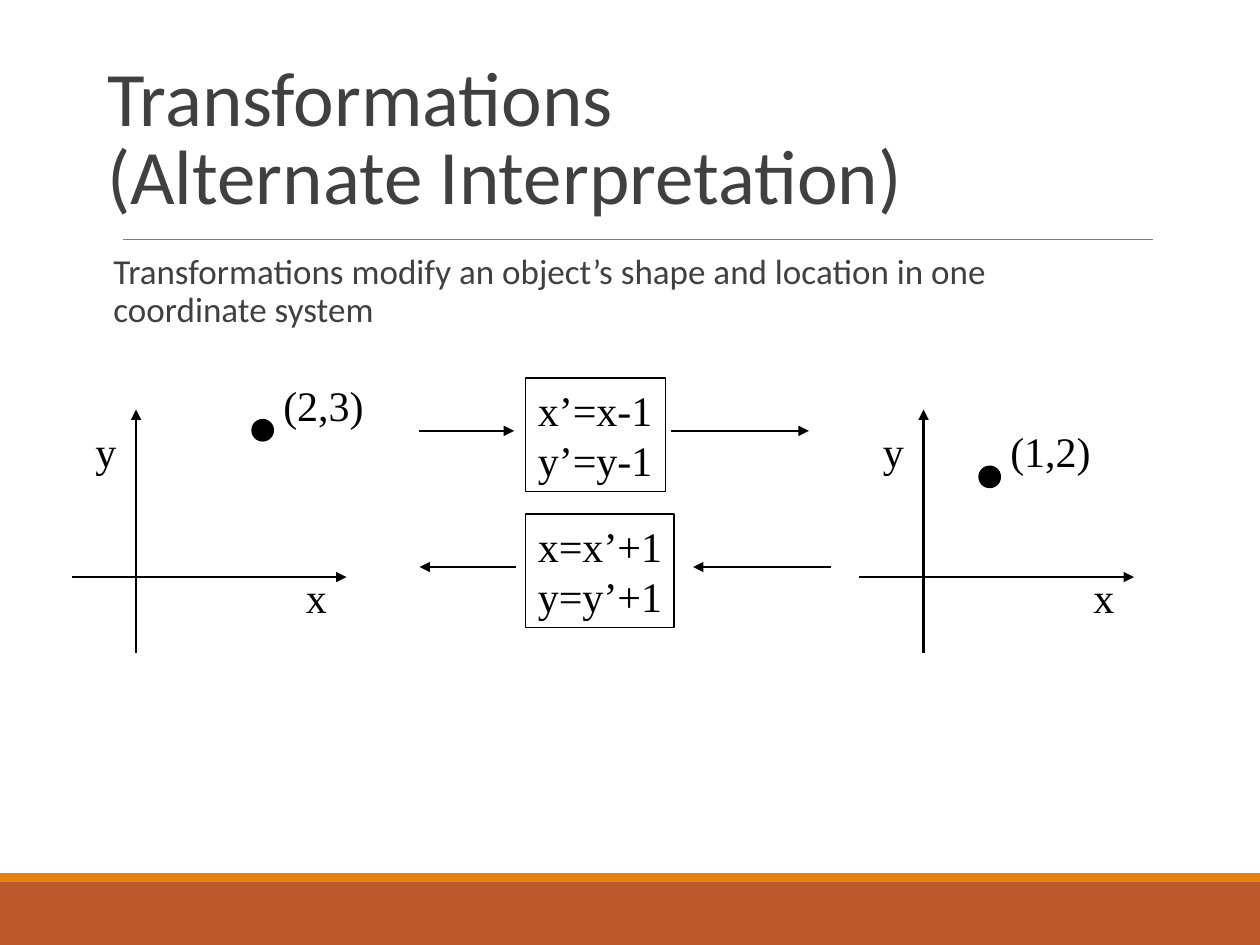
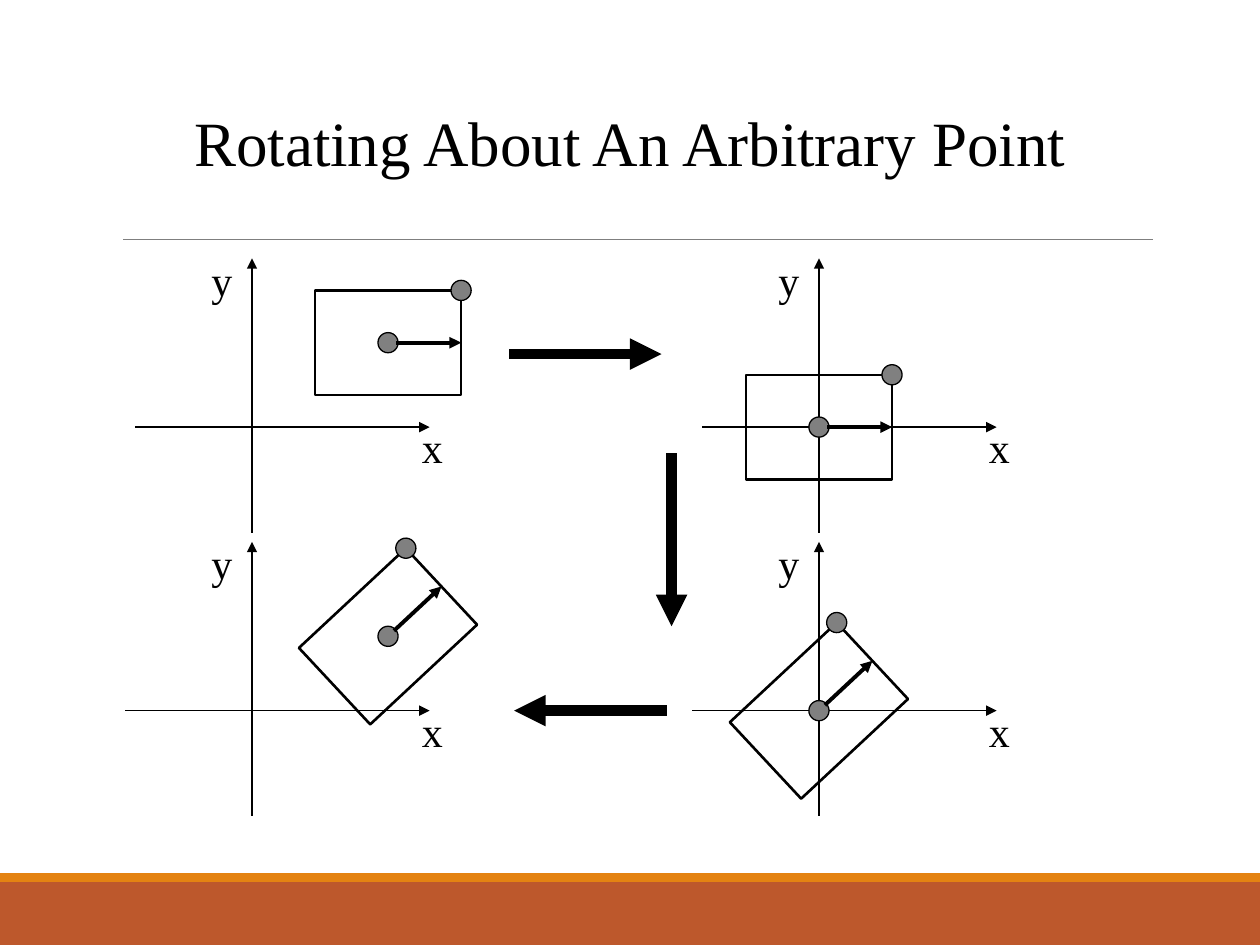
"""Build two slides on transformations and on rotating about a point."""
import dataclasses
import math

import lxml.etree
import pptx
import pptx.dml.color
import pptx.enum.shapes
import pptx.enum.text
import pptx.oxml.ns
import pptx.presentation
import pptx.shapes.autoshape
import pptx.shapes.base
import pptx.shapes.connector
import pptx.slide
import pptx.text.text
import pptx.util

Inches = pptx.util.Inches
Pt = pptx.util.Pt
Kind = pptx.enum.shapes.MSO_SHAPE
Align = pptx.enum.text.PP_ALIGN
Anchor = pptx.enum.text.MSO_ANCHOR
Fit = pptx.enum.text.MSO_AUTO_SIZE
Slide = pptx.slide.Slide

BLACK = "000000"
DARK = "404040"
GRAY = "808080"
RULE = "7F7F7F"
RUST = "BD582C"
AMBER = "E48312"
SANS = "Calibri"
SERIF = "Times New Roman"
BOX_W, BOX_H = 1.16, 0.83
DOT = 0.16
TURN = 43


@dataclasses.dataclass(frozen=True)
class Axes:
    """A pair of axes: its origin, its reach each way and the top of its y label."""
    x: float
    y: float
    left: float
    right: float
    up: float
    down: float
    label: float
    width: float


@dataclasses.dataclass(frozen=True)
class Arrow:
    """A straight arrow between two points."""
    x1: float
    y1: float
    x2: float
    y2: float
    width: float


@dataclasses.dataclass(frozen=True)
class Point:
    """A labelled point, with the left and top of its dot."""
    x: float
    y: float
    text: str


@dataclasses.dataclass(frozen=True)
class Rule:
    """A framed pair of equations."""
    top: float
    width: float
    text: str


@dataclasses.dataclass(frozen=True)
class Stage:
    """One step of the rotation: axes origin and left reach, box centre and turn."""
    x: float
    y: float
    left: float
    mid_x: float
    mid_y: float
    turn: int


def hue(code: str) -> pptx.dml.color.RGBColor:
    """Turn a hex string into a colour."""
    return pptx.dml.color.RGBColor.from_string(code)


def style(frame: pptx.text.text.TextFrame, face: str, size: int, color: str,
          align: Align = Align.LEFT, space: float = 1.0) -> None:
    """Format every run and paragraph of a text frame."""
    for para in frame.paragraphs:
        para.alignment = align
        para.line_spacing = space
        para.space_before = Pt(0)
        for run in para.runs:
            run.font.name = face
            run.font.size = Pt(size)
            run.font.color.rgb = hue(color)


def place(shape: pptx.shapes.base.BaseShape, x: float, y: float, w: float, h: float) -> None:
    """Move and size a shape."""
    shape.left, shape.top, shape.width, shape.height = map(Inches, (x, y, w, h))


def draw(slide: Slide, kind: Kind, x: float, y: float, w: float, h: float,
         fill: str = "", line: float = 0, turn: int = 0) -> pptx.shapes.autoshape.Shape:
    """Draw a shape with an optional fill, black outline and turn."""
    shape = slide.shapes.add_shape(kind, *map(Inches, (x, y, w, h)))
    shape.shadow.inherit = False
    shape.rotation = -turn
    if fill:
        shape.fill.solid()
        shape.fill.fore_color.rgb = hue(fill)
    else:
        shape.fill.background()
    if line:
        shape.line.color.rgb = hue(BLACK)
        shape.line.width = Pt(line)
    else:
        shape.line.fill.background()
    return shape


def link(slide: Slide, way: Arrow, color: str = BLACK,
         head: bool = True) -> pptx.shapes.connector.Connector:
    """Draw a straight square-capped line, with an arrowhead at its end if asked."""
    ends = map(Inches, (way.x1, way.y1, way.x2, way.y2))
    line = slide.shapes.add_connector(pptx.enum.shapes.MSO_CONNECTOR.STRAIGHT, *ends)
    line.line.color.rgb = hue(color)
    line.line.width = Pt(way.width)
    qn = pptx.oxml.ns.qn
    props = line.element.spPr
    stroke = props.find(qn("a:ln"))
    stroke.set("cap", "sq")
    if head:
        lxml.etree.SubElement(stroke, qn("a:tailEnd"), type="triangle")
    lxml.etree.SubElement(props, qn("a:effectLst"))
    return line


def write(frame: pptx.text.text.TextFrame, text: str, wrap: bool, fit: Fit) -> None:
    """Set serif text from the top of a frame."""
    frame.text = text
    frame.word_wrap = wrap
    frame.auto_size = fit
    frame.vertical_anchor = Anchor.TOP
    style(frame, SERIF, 24, BLACK)


def tag(slide: Slide, x: float, y: float, text: str, width: float = 0.36) -> None:
    """Add a small serif label."""
    box = slide.shapes.add_textbox(*map(Inches, (x, y, width, 0.5)))
    write(box.text_frame, text, False, Fit.SHAPE_TO_FIT_TEXT)


def start(deck: pptx.presentation.Presentation, layout: int, text: str) -> Slide:
    """Add a slide with its bands, rule and placed title."""
    slide = deck.slides.add_slide(deck.slide_layouts[layout])
    draw(slide, Kind.RECTANGLE, 0, 7, 10, 0.5, RUST)
    draw(slide, Kind.RECTANGLE, 0, 6.93, 10, 0.07, AMBER)
    link(slide, Arrow(0.98, 1.9, 9.15, 1.9, 0.5), RULE, False)
    title = slide.shapes.title
    place(title, 0.75, 0.5, 8.5, 1.25)
    title.text_frame.text = text
    title.text_frame.auto_size = Fit.NONE
    title.text_frame.vertical_anchor = Anchor.MIDDLE
    return slide


def plot(slide: Slide, axes: Axes) -> None:
    """Draw a pair of axes with their labels."""
    x, y = axes.x, axes.y
    link(slide, Arrow(x, y + axes.down, x, y - axes.up, axes.width))
    link(slide, Arrow(x - axes.left, y, x + axes.right, y, axes.width))
    tag(slide, x + 1.25, y - 0.09, "x")
    tag(slide, x - 0.42, y - axes.label, "y")


def show(slide: Slide, stage: Stage) -> None:
    """Draw one stage: axes, turned box, two dots and the direction arrow."""
    plot(slide, Axes(stage.x, stage.y, stage.left, 1.41, 1.34, 0.83, 1.42, 1))
    x, y = stage.mid_x, stage.mid_y
    cos, sin = math.cos(math.radians(stage.turn)), math.sin(math.radians(stage.turn))
    half_w, half_h = BOX_W / 2, BOX_H / 2
    box = draw(slide, Kind.RECTANGLE, x - half_w, y - half_h, BOX_W, BOX_H,
               line=1.5, turn=stage.turn)
    corner = (x + half_w * cos - half_h * sin, y - half_w * sin - half_h * cos)
    for dot_x, dot_y in ((x, y), corner):
        draw(slide, Kind.OVAL, dot_x - DOT / 2, dot_y - DOT / 2, DOT, DOT,
             GRAY, 0.75, stage.turn)
    end_x, end_y = x + half_w * cos, y - half_w * sin
    ray = link(slide, Arrow(x + DOT / 2 * cos, y - DOT / 2 * sin, end_x, end_y, 2.25))
    ray.end_connect(box, 3)
    ray.end_x, ray.end_y = Inches(end_x), Inches(end_y)


def modify(deck: pptx.presentation.Presentation) -> None:
    """Build the slide on mapping a point within one system."""
    slide = start(deck, 1, "Transformations\v(Alternate Interpretation)")
    style(slide.shapes.title.text_frame, SANS, 44, DARK, space=0.85)
    body = slide.placeholders[1]
    place(body, 0.7, 1.97, 8.45, 4.33)
    frame = body.text_frame
    frame.text = ("Transformations modify an object’s shape and location in one "
                  "coordinate system")
    frame.auto_size = Fit.NONE
    props = frame.paragraphs[0]._p.get_or_add_pPr()
    props.set("marL", str(Inches(0.1)))
    props.set("indent", str(-Inches(0.1)))
    lxml.etree.SubElement(props, pptx.oxml.ns.qn("a:buChar"), char=" ")
    style(frame, SANS, 20, DARK, space=0.9)

    for x in (1.08, 7.33):
        plot(slide, Axes(x, 4.58, 0.5, 1.67, 1.33, 0.59, 1.25, 1.5))
    for point in (Point(2, 3.33, "(2,3)"), Point(7.77, 3.7, "(1,2)")):
        draw(slide, Kind.OVAL, point.x, point.y, 0.17, 0.17, BLACK, 0.75)
        tag(slide, point.x + 0.15, point.y - 0.37, point.text, 0.84)
    for rule in (Rule(3, 1.11, "x’=x-1\ny’=y-1"), Rule(4.08, 1.18, "x=x’+1\ny=y’+1")):
        box = draw(slide, Kind.RECTANGLE, 4.17, rule.top, rule.width, 0.9, line=0.75)
        box.text_frame.margin_right = Inches(0)
        write(box.text_frame, rule.text, True, Fit.NONE)
    for x1, x2, y in ((3.33, 4.08, 3.42), (5.33, 6.42, 3.42),
                      (4.09, 3.33, 4.5), (6.59, 5.5, 4.5)):
        link(slide, Arrow(x1, y, x2, y, 0.75))


def rotate(deck: pptx.presentation.Presentation) -> None:
    """Build the slide on rotating a box in four stages."""
    slide = start(deck, 5, "Rotating About An Arbitrary Point")
    style(slide.shapes.title.text_frame, SERIF, 36, BLACK, Align.CENTER)
    for stage in (
        Stage(2, 3.39, 0.92, 3.08, 2.72, 0),
        Stage(6.5, 3.39, 0.92, 6.5, 3.39, 0),
        Stage(6.5, 5.64, 1, 6.5, 5.64, TURN),
        Stage(2, 5.64, 1, 3.08, 5.05, TURN),
    ):
        show(slide, stage)
    for step in (
        Arrow(4.08, 2.81, 5.25, 2.81, 6),
        Arrow(5.33, 3.64, 5.33, 4.97, 6),
        Arrow(5.25, 5.64, 4.08, 5.64, 6),
    ):
        link(slide, step)


def main() -> None:
    """Build and save the deck."""
    deck = pptx.Presentation()
    deck.slide_width, deck.slide_height = Inches(10), Inches(7.5)
    modify(deck)
    rotate(deck)
    deck.save("out.pptx")


if __name__ == "__main__":
    main()
